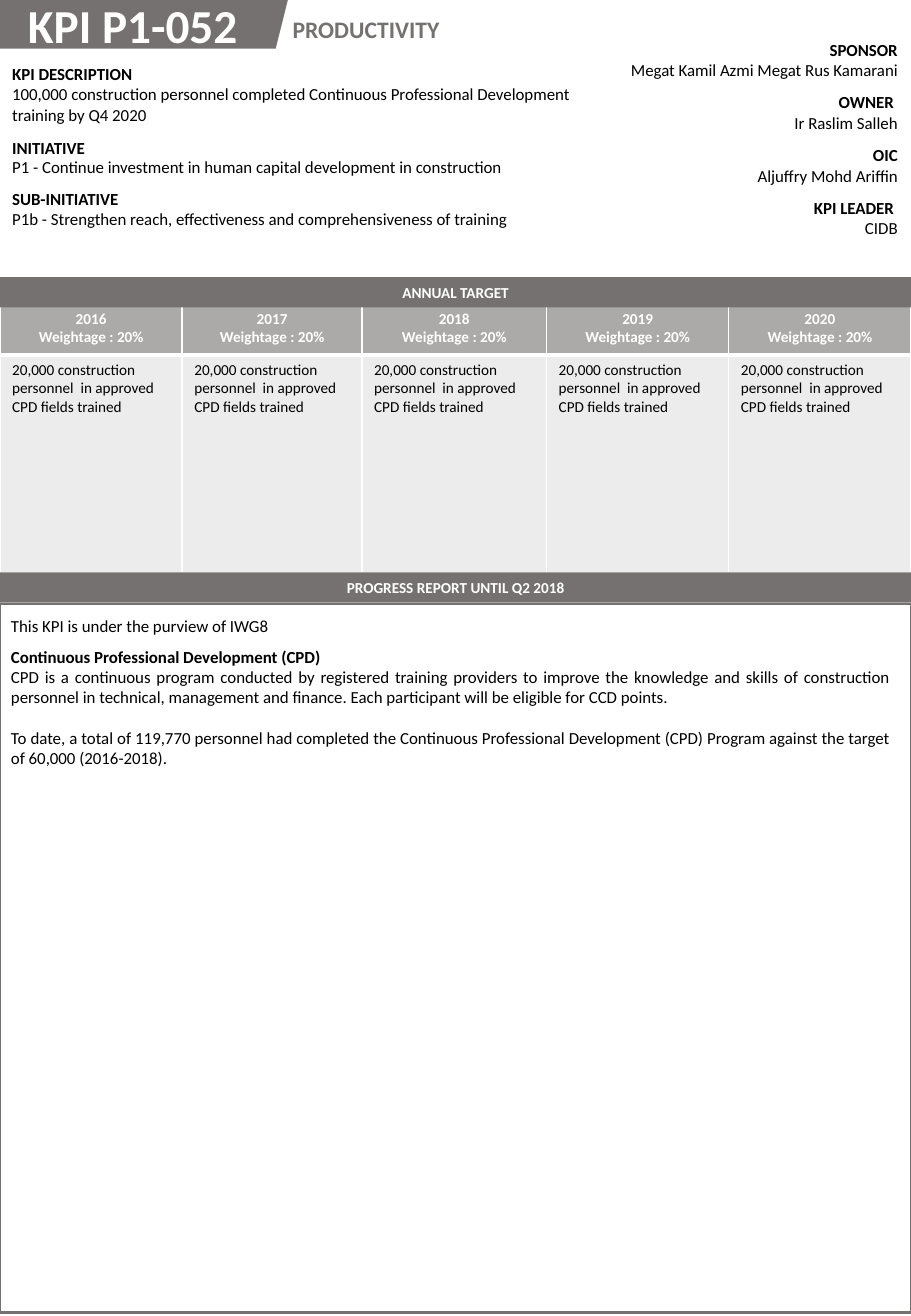
from lxml.etree import SubElement
from pptx import Presentation
from pptx.dml.color import RGBColor
from pptx.enum.shapes import MSO_SHAPE
from pptx.enum.text import MSO_ANCHOR, MSO_AUTO_SIZE, PP_ALIGN
from pptx.oxml.ns import qn
from pptx.util import Inches, Pt

COLORS = {"gray": "767171", "white": "FFFFFF", "black": "000000"}
COLS, ROWS = 75, 108.3
FONT = "Calibri"
YEARS = range(2016, 2021)
WIDTHS = [15, 14.8, 15.2, 15, 15]
TARGET = "20,000 construction personnel  in approved CPD fields trained"
DETAILS = [
    ("KPI DESCRIPTION", "100,000 construction personnel completed Continuous "
     "Professional Development training by Q4 2020"),
    ("INITIATIVE", "P1 - Continue investment in human capital development in construction"),
    ("SUB-INITIATIVE", "P1b - Strengthen reach, effectiveness and comprehensiveness of training"),
]
PEOPLE = [
    ("SPONSOR", "Megat Kamil Azmi Megat Rus Kamarani"),
    ("OWNER ", "Ir Raslim Salleh"),
    ("OIC", "Aljuffry Mohd Ariffin"),
    ("KPI LEADER ", "CIDB"),
]
REPORT = [
    "This KPI is under the purview of IWG8",
    "Continuous Professional Development (CPD)",
    "CPD is a continuous program conducted by registered training providers to improve "
    "the knowledge and skills of construction personnel in technical, management and "
    "finance. Each participant will be eligible for CCD points.",
    "To date, a total of 119,770 personnel had completed the Continuous Professional "
    "Development (CPD) Program against the target of 60,000 (2016-2018).",
]


def unit(count):
    """Turn a count of grid cells into a length."""
    return Inches(count / 10)


def grid(box):
    """Turn a box of grid cells into lengths."""
    return [unit(count) for count in box]


def color(name):
    """Look up a colour by name."""
    return RGBColor.from_string(COLORS[name])


def write(frame, lines, size, ink, bold, align=PP_ALIGN.LEFT):
    """Fill a text frame, with one bold flag for each line."""
    frame.text = "\n".join(lines)
    for para, heavy in zip(frame.paragraphs, bold):
        para.alignment = align
        for run in para.runs:
            font = run.font
            font.name, font.size, font.bold = FONT, Pt(size), heavy
            font.color.rgb = color(ink)


def place(shape, box):
    """Move a placeholder to a box and fix its text at the top."""
    shape.left, shape.top, shape.width, shape.height = grid(box)
    frame = shape.text_frame
    frame.auto_size, frame.word_wrap = MSO_AUTO_SIZE.NONE, True
    frame.vertical_anchor = MSO_ANCHOR.TOP
    return frame


def block(slide, kind, box, fill=None):
    """Add a flat shape, filled or outlined."""
    shape = slide.shapes.add_shape(kind, *grid(box))
    shape.shadow.inherit = False
    if fill:
        shape.fill.solid()
        shape.fill.fore_color.rgb = color(fill)
        shape.line.fill.background()
    else:
        shape.fill.background()
        shape.line.color.rgb, shape.line.width = color("gray"), Pt(1.5)
    return shape


def table(slide, box, widths, heights):
    """Add a plain table with the given columns and rows."""
    made = slide.shapes.add_table(len(heights), len(widths), *grid(box)).table
    made.first_row = made.horz_banding = False
    for col, width in zip(made.columns, widths):
        col.width = unit(width)
    for row, height in zip(made.rows, heights):
        row.height = unit(height)
    for cell in made.iter_cells():
        cell.fill.background()
    return made


def tint(cell, share, top, base):
    """Give a cell a see-through grey fill and white borders."""
    cell.fill.solid()
    cell.fill.fore_color.rgb = color("gray")
    props = cell._tc.tcPr
    tone = props.find(".//" + qn("a:srgbClr"))
    SubElement(tone, qn("a:alpha"), val=str(share * 1000))
    sides = {"lnL": 1, "lnR": 1, "lnT": top, "lnB": base}
    for spot, (side, width) in enumerate(sides.items()):
        line = SubElement(props, qn("a:" + side), w=str(Pt(width)))
        paint = SubElement(line, qn("a:solidFill"))
        SubElement(paint, qn("a:srgbClr"), val=COLORS["white"])
        props.insert(spot, line)


def header(slide, box):
    """Place the title on its slanted tab, with the theme beside it."""
    left, top, width, height = box
    tab = block(slide, MSO_SHAPE.PARALLELOGRAM, (left - 1.7, top, 25.4, height), "gray")
    slide.shapes._spTree.insert(2, tab._element)
    frame = place(slide.shapes.title, (left + 1.3, top - 0.8, 22.4, 5.7))
    write(frame, ["KPI P1-052"], 28, "white", [True])
    theme = slide.shapes.add_textbox(*grid((left + 23.1, top + 0.7, 14.5, 3.4)))
    theme.text_frame.word_wrap = False
    write(theme.text_frame, ["PRODUCTIVITY"], 14, "gray", [True])


def facts(slide, box, pairs, heights, align):
    """List headings with their values in a one-column table."""
    made = table(slide, box, [box[2]], heights)
    for cell, pair in zip(made.iter_cells(), pairs):
        write(cell.text_frame, pair, 10, "black", [True, False], align)
    return made


def band(slide, box, label):
    """Add a grey bar with a centred label."""
    bar = block(slide, MSO_SHAPE.RECTANGLE, box, "gray")
    bar.text_frame.vertical_anchor = MSO_ANCHOR.MIDDLE
    write(bar.text_frame, [label], 9, "white", [True], PP_ALIGN.CENTER)


def targets(slide, box):
    """Show the yearly targets under their bar."""
    left, top, width, height = box
    made = table(slide, (left, top + 2.2, width, height - 2.2), WIDTHS, [4.2, height - 6.4])
    for spot, year in enumerate(YEARS):
        head, goal = made.cell(0, spot), made.cell(1, spot)
        write(head.text_frame, [str(year), "Weightage : 20%"], 9, "white",
              [True, True], PP_ALIGN.CENTER)
        write(goal.text_frame, [TARGET], 9, "black", [False])
        tint(head, 60, 1, 3)
        tint(goal, 13, 3, 1)
    band(slide, (left, top, width, 2.5), "ANNUAL TARGET")


def report(slide, box):
    """Show the progress report in a frame under its bar."""
    left, top, width, height = box
    block(slide, MSO_SHAPE.RECTANGLE, (left, top + 2.6, width, height - 2.6))
    frame = place(slide.placeholders[1], (left - 0.1, top + 3.1, width - 0.7, 17))
    write(frame, REPORT, 10, "black", [False, True, False, False])
    for para, gap in zip(frame.paragraphs, (0, 6, 0, 12)):
        props = para._p.get_or_add_pPr()
        props.set("marL", "0")
        props.set("indent", "0")
        SubElement(props, qn("a:buNone"))
        para.space_before = Pt(gap)
    for para in frame.paragraphs[2:]:
        para.alignment = PP_ALIGN.JUSTIFY
    band(slide, (left, top, width, 2.5), "PROGRESS REPORT UNTIL Q2 2018")


def main():
    """Build the KPI sheet."""
    deck = Presentation()
    deck.slide_width, deck.slide_height = unit(COLS), unit(ROWS)
    slide = deck.slides.add_slide(deck.slide_layouts[1])
    header(slide, (0, 0, COLS, 4))
    notes = facts(slide, (0, 4.8, 49.8, 14.5), DETAILS, [6.1, 4.2, 4.2], PP_ALIGN.LEFT)
    notes.cell(1, 0).text_frame.paragraphs[1].line_spacing = 0.88
    facts(slide, (50.5, 2.8, 24.4, 17.3), PEOPLE, [17.3 / 4] * 4, PP_ALIGN.RIGHT)
    targets(slide, (0, 22.8, COLS, 24.3))
    report(slide, (0, 47.1, COLS, 60.9))
    deck.save("out.pptx")


if __name__ == "__main__":
    main()
